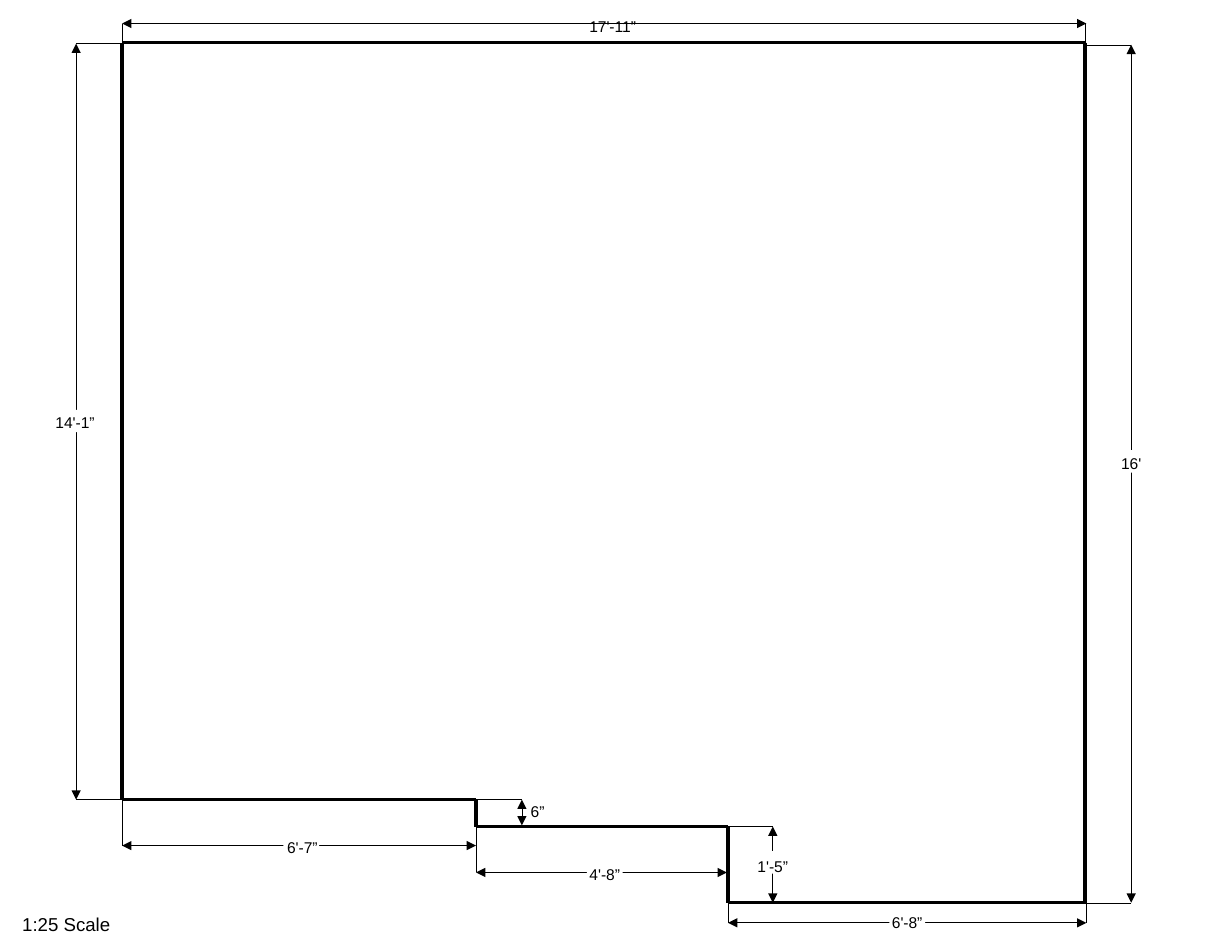
from itertools import pairwise
from lxml.etree import SubElement
from pptx import Presentation
from pptx.dml.color import RGBColor
from pptx.enum.shapes import MSO_CONNECTOR, MSO_SHAPE
from pptx.enum.text import PP_ALIGN
from pptx.oxml.ns import qn
from pptx.util import Inches, Pt

BLACK = RGBColor(0, 0, 0)
WHITE = RGBColor(255, 255, 255)
WALL, DIMENSION, EXTENSION = 2.3, 0.5, 0.2

CORNERS = [(1.09, 0.38), (9.69, 0.38), (9.69, 8.06), (6.5, 8.06),
           (6.5, 7.38), (4.25, 7.38), (4.25, 7.14), (1.09, 7.14)]

EXTENSIONS = [
    ((1.09, 0.38), (1.09, 0.21)), ((9.69, 0.38), (9.69, 0.21)),
    ((1.09, 0.39), (0.68, 0.39)), ((1.09, 7.14), (0.68, 7.14)),
    ((1.09, 7.55), (1.09, 7.14)), ((4.25, 7.79), (4.25, 7.14)),
    ((4.66, 7.14), (4.25, 7.14)), ((6.9, 7.38), (6.49, 7.38)),
    ((10.1, 0.4), (9.69, 0.4)), ((10.1, 8.06), (9.69, 8.06)),
    ((6.5, 8.24), (6.5, 8.06)), ((9.7, 8.24), (9.7, 8.06)),
]

# text, line start, line end, label box, gap box
DIMENSIONS = [
    ("17'-11”", (1.09, 0.21), (9.7, 0.21), (5.12, 0.1, 0.7, 0.3), None),
    ("14'-1”", (0.68, 7.14), (0.68, 0.39), (0.37, 3.64, 0.6, 0.26), (0.5, 3.66, 0.4, 0.2)),
    ("6'-7”", (1.09, 7.55), (4.25, 7.55), (2.4, 7.43, 0.6, 0.26), (2.53, 7.47, 0.32, 0.2)),
    ("6”", (4.66, 7.37), (4.66, 7.14), (4.6, 7.11, 0.4, 0.26), None),
    ("4'-8”", (4.25, 7.79), (6.49, 7.79), (5.1, 7.67, 0.6, 0.26), (5.24, 7.73, 0.32, 0.2)),
    ("16'", (10.1, 8.06), (10.1, 0.4), (9.8, 4, 0.6, 0.26), (9.93, 4.02, 0.4, 0.2)),
    ("6'-8”", (6.5, 8.24), (9.7, 8.24), (7.8, 8.1, 0.6, 0.26), (7.94, 8.16, 0.32, 0.2)),
    ("1'-5”", (6.9, 8.06), (6.9, 7.38), (6.6, 7.6, 0.6, 0.26), (6.7, 7.6, 0.4, 0.2)),
]


def add_line(slide, start, end, width, arrows=False):
    points = [Inches(value) for value in (*start, *end)]
    connector = slide.shapes.add_connector(MSO_CONNECTOR.STRAIGHT, *points)
    connector.line.color.rgb = BLACK
    connector.line.width = Pt(width)
    if arrows:
        outline = connector.line._get_or_add_ln()
        for end_tag in ("a:headEnd", "a:tailEnd"):
            SubElement(outline, qn(end_tag), type="triangle")
    SubElement(connector._element.spPr, qn("a:effectLst"))


def add_gap(slide, box):
    shape = slide.shapes.add_shape(MSO_SHAPE.RECTANGLE, *map(Inches, box))
    shape.shadow.inherit = False
    shape.fill.solid()
    shape.fill.fore_color.rgb = WHITE
    shape.line.fill.background()


def add_label(slide, text, box, size=10, alignment=PP_ALIGN.CENTER):
    frame = slide.shapes.add_textbox(*map(Inches, box)).text_frame
    frame.word_wrap = True
    paragraph = frame.paragraphs[0]
    paragraph.text = text
    paragraph.alignment = alignment
    paragraph.font.name = "Arial"
    paragraph.font.size = Pt(size)
    paragraph.font.color.rgb = BLACK


def main():
    presentation = Presentation()
    presentation.slide_width = Inches(11)
    presentation.slide_height = Inches(8.5)
    slide = presentation.slides.add_slide(presentation.slide_layouts[6])

    for start, end in pairwise(CORNERS + CORNERS[:1]):
        add_line(slide, start, end, WALL)
    for start, end in EXTENSIONS:
        add_line(slide, start, end, EXTENSION)
    for text, start, end, label_box, gap_box in DIMENSIONS:
        add_line(slide, start, end, DIMENSION, arrows=True)
        if gap_box:
            add_gap(slide, gap_box)
        add_label(slide, text, label_box)
    add_label(slide, "1:25 Scale", (0.1, 8.1, 1.1, 0.29), 12, PP_ALIGN.LEFT)

    presentation.save("out.pptx")


if __name__ == "__main__":
    main()
